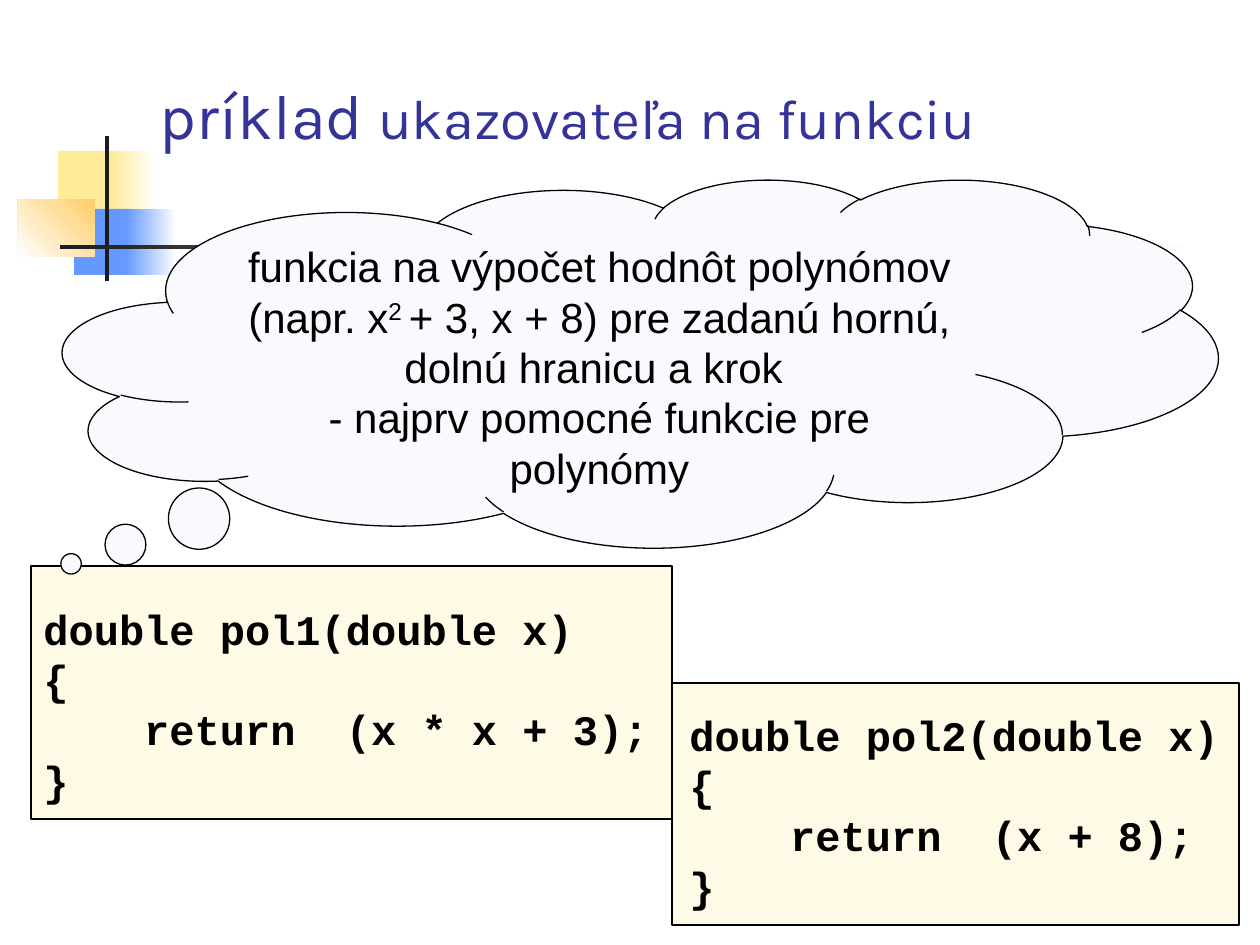
from pptx import Presentation
from pptx.dml.color import RGBColor
from pptx.enum.shapes import MSO_SHAPE
from pptx.enum.text import MSO_ANCHOR, MSO_AUTO_SIZE, PP_ALIGN
from pptx.util import Emu, Pt

SCALE = 914400 / 126
BLACK, WHITE, CREAM = "000000", "FFFFFF", "FFFAE5"
YELLOW, BLUE, ORANGE, DARK = "FFEC99", "6699FF", "FFCC66", "1C1C1C"


def px(n):
    return Emu(round(n * SCALE))


def color(code):
    return RGBColor.from_string(code)


def place(shape, box):
    shape.left, shape.top, shape.width, shape.height = map(px, box)


def add_shape(slide, kind, box, fill, line=None):
    shape = slide.shapes.add_shape(kind, *map(px, box))
    shape.shadow.inherit = False
    shape.fill.solid()
    shape.fill.fore_color.rgb = color(fill)
    if line:
        shape.line.color.rgb = color(line)
        shape.line.width = Pt(0.75)
    else:
        shape.line.fill.background()
    return shape


def add_fade(slide, box, start, end, angle):
    """Add a rectangle with a two-color gradient; angle runs clockwise."""
    shape = add_shape(slide, MSO_SHAPE.RECTANGLE, box, end)
    shape.fill.gradient()
    shape.fill.gradient_angle = 360 - angle
    for stop, code, pos in zip(shape.fill.gradient_stops, (start, end), (0, 1)):
        stop.color.rgb = color(code)
        stop.position = pos


def add_run(para, text, size, face, code, bold=False):
    run = para.add_run()
    run.text = text
    font = run.font
    font.size, font.name, font.bold = Pt(size), face, bold
    font.color.rgb = color(code)
    return run


def add_code(slide, box, lines):
    frame = slide.shapes.add_textbox(*map(px, box)).text_frame
    frame.word_wrap = True
    frame.auto_size = MSO_AUTO_SIZE.SHAPE_TO_FIT_TEXT
    for i, line in enumerate(lines):
        para = frame.add_paragraph() if i else frame.paragraphs[0]
        add_run(para, line, 24, "Courier New", BLACK, True)


def add_decor(slide):
    rect = MSO_SHAPE.RECTANGLE
    add_shape(slide, rect, (58, 151, 60, 66), YELLOW)
    add_fade(slide, (111, 151, 45, 66), WHITE, YELLOW, 180)
    add_shape(slide, rect, (74, 209, 58, 66), BLUE)
    add_fade(slide, (126, 209, 50, 66), WHITE, BLUE, 180)
    add_fade(slide, (18, 199, 77, 58), ORANGE, WHITE, 135)
    add_shape(slide, rect, (105, 136, 4, 145), DARK)
    add_fade(slide, (60, 245, 1134, 4), WHITE, DARK, 180)


def set_title(slide):
    title = slide.shapes.title
    place(title, (147, 73, 977, 83))
    frame = title.text_frame
    frame.word_wrap = True
    frame.auto_size = MSO_AUTO_SIZE.NONE
    frame.vertical_anchor = MSO_ANCHOR.MIDDLE
    para = frame.paragraphs[0]
    para.alignment = PP_ALIGN.LEFT
    add_run(para, "príklad ", 36, "Karla", "333399")
    add_run(para, "ukazovateľa na funkciu", 32, "Karla", "333399")


def add_cloud(slide):
    cloud = add_shape(slide, MSO_SHAPE.CLOUD_CALLOUT, (63, 179, 1155, 368),
                      "F9FAFD", BLACK)
    cloud.adjustments[0] = -0.493
    cloud.adjustments[1] = 0.546
    frame = cloud.text_frame
    frame.word_wrap = True
    frame.vertical_anchor = MSO_ANCHOR.TOP
    goal, step = frame.paragraphs[0], frame.add_paragraph()
    goal.alignment = step.alignment = PP_ALIGN.CENTER
    style = (24, "Arial", BLACK)
    add_run(goal, "funkcia na výpočet hodnôt polynómov (napr. x", *style)
    power = add_run(goal, "2 ", *style)
    power._r.get_or_add_rPr().set("baseline", "30000")
    add_run(goal, "+ 3, x + 8) pre zadanú hornú, dolnú hranicu a krok ", *style)
    add_run(step, "- najprv pomocné funkcie pre polynómy", *style)


def main():
    deck = Presentation()
    deck.slide_width, deck.slide_height = px(1260), px(945)
    slide = deck.slides.add_slide(deck.slide_layouts[5])
    add_decor(slide)
    for box in ((31, 566, 641, 253), (672, 683, 567, 242)):
        add_shape(slide, MSO_SHAPE.RECTANGLE, box, CREAM, BLACK)
    add_code(slide, (31, 597, 662, 214),
             ("double pol1(double x)", "{", "    return  (x * x + 3);", "}"))
    set_title(slide)
    add_code(slide, (677, 703, 583, 214),
             ("double pol2(double x)", "{", "    return  (x + 8);", "}"))
    add_cloud(slide)
    deck.save("out.pptx")


if __name__ == "__main__":
    main()
